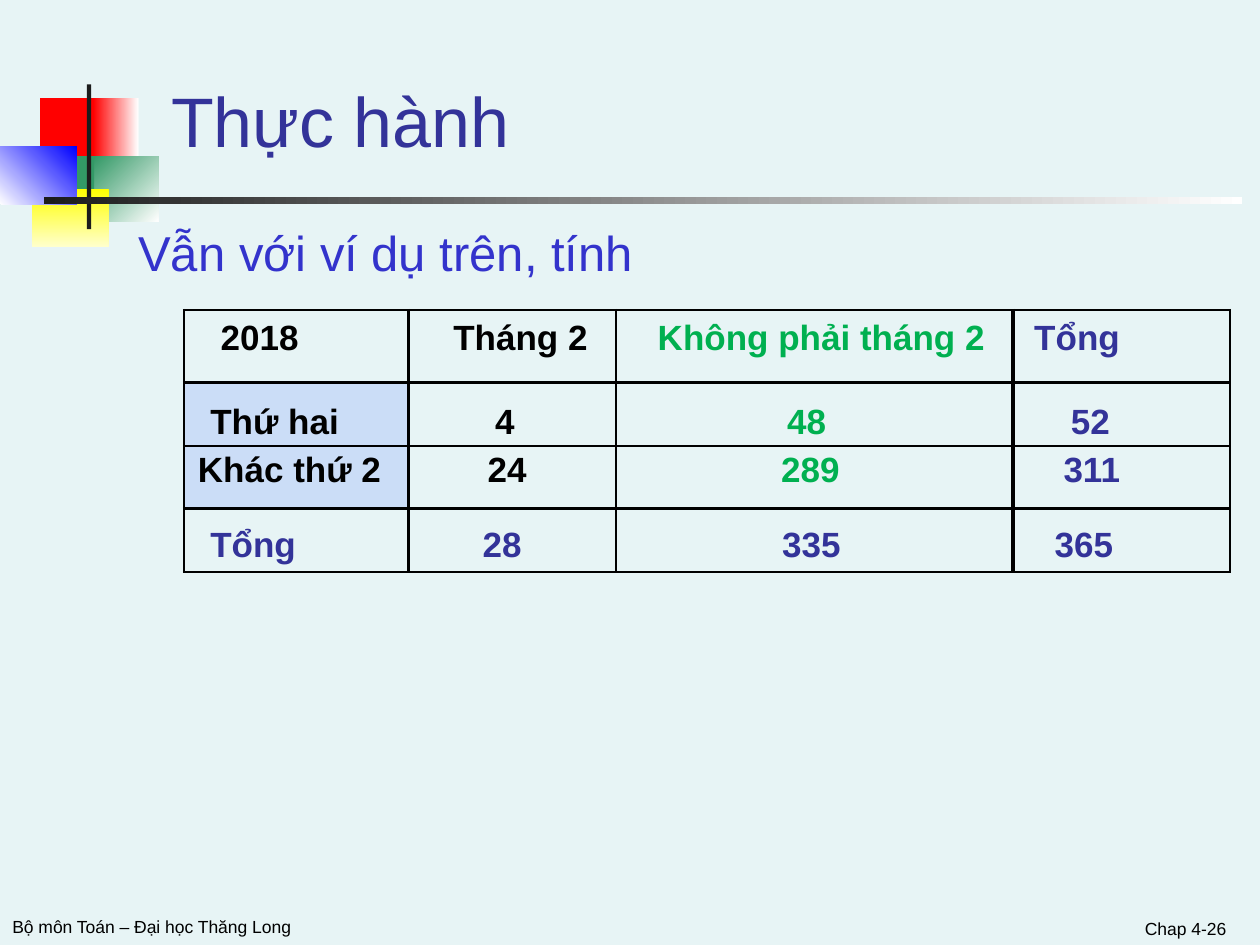
from lxml.etree import SubElement
from pptx import Presentation
from pptx.dml.color import RGBColor as RGB
from pptx.enum.shapes import MSO_SHAPE as SHAPE
from pptx.enum.text import MSO_ANCHOR as ANCHOR, PP_ALIGN as ALIGN
from pptx.oxml.ns import qn
from pptx.util import Cm, Pt

BACKGROUND = RGB(0xE7, 0xF4, 0xF5)
BLACK = RGB(0, 0, 0)
CHARCOAL = RGB(0x1C, 0x1C, 0x1C)
WHITE = RGB(0xFF, 0xFF, 0xFF)
RED = RGB(0xFF, 0, 0)
GREEN = RGB(0x33, 0x99, 0x66)
YELLOW = RGB(0xFF, 0xFF, 0)
CREAM = RGB(0xFF, 0xFF, 0xCC)
BLUE = RGB(0, 0, 0xFF)
INDIGO = RGB(0x33, 0x33, 0x99)
BODY_BLUE = RGB(0x33, 0x33, 0xCC)
DATA_GREEN = RGB(0, 0xB0, 0x50)
LABEL_FILL = RGB(0xCB, 0xDD, 0xF7)


def add_text(area, words, size, color, anchor=ANCHOR.TOP, align=ALIGN.LEFT, spacing=None):
    box = page.shapes.add_textbox(*[Cm(length) for length in area])
    box.text_frame.word_wrap = True
    box.text_frame.vertical_anchor = anchor
    para = box.text_frame.paragraphs[0]
    para.text = words
    para.alignment = align
    para.line_spacing = spacing
    para.font.name = "Arial"
    para.font.size = Pt(size)
    para.font.color.rgb = color


def add_border(cell, side, width):
    line = SubElement(cell._tc.get_or_add_tcPr(), qn(f"a:{side}"), w=str(Pt(width)))
    fill = SubElement(line, qn("a:solidFill"))
    SubElement(fill, qn("a:srgbClr"), val=str(BLACK))


deck = Presentation()
deck.slide_width, deck.slide_height = Cm(25.4), Cm(19.05)
page = deck.slides.add_slide(deck.slide_layouts[6])
page.background.fill.solid()
page.background.fill.fore_color.rgb = BACKGROUND

# Ornament: left, top, width, height, colours, counter-clockwise gradient angle
ornament = [
    (0.81, 1.98, 1.22, 1.32, [RED], 0),
    (1.88, 1.98, 0.91, 1.32, [RED, WHITE], 0),
    (1.9, 3.15, 1.3, 1.32, [GREEN, WHITE], 315),
    (1.09, 3.15, 0.81, 1.32, [GREEN], 0),
    (0.64, 3.81, 1.55, 1.17, [YELLOW, CREAM], 270),
    (0, 2.95, 1.55, 1.17, [WHITE, BLUE], 45),
    (1.75, 1.7, 0.09, 2.92, [CHARCOAL], 0),
    (0.89, 3.97, 24.15, 0.15, [CHARCOAL, WHITE], 0),
]
for *area, colors, angle in ornament:
    block = page.shapes.add_shape(SHAPE.RECTANGLE, *[Cm(length) for length in area])
    block.shadow.inherit = False
    block.line.fill.background()
    if len(colors) == 1:
        block.fill.solid()
        block.fill.fore_color.rgb = colors[0]
    else:
        block.fill.gradient()
        block.fill.gradient_angle = angle
        for stop, color in zip(block.fill.gradient_stops, colors):
            stop.color.rgb = color

# Title, body and footer
add_text((3.2, 0.64, 20.5, 2.74), "Thực hành", 40, INDIGO, ANCHOR.BOTTOM, spacing=1.1)
add_text((2.54, 4.24, 22.43, 1.5), "Vẫn với ví dụ trên, tính", 28, BODY_BLUE, spacing=1.1)
add_text((19.05, 18.16, 5.92, 0.89), "Chap 4-26", 10, BLACK, ANCHOR.BOTTOM, ALIGN.RIGHT)
add_text((0, 18.34, 13.34, 0.71), "Bộ môn Toán – Đại học Thăng Long", 10, BLACK)

# Contingency table: top margin of the row, words, left margins of its cells
rows = [
    (0.18, ["2018", "Tháng 2", "Không phải tháng 2", "Tổng"], [0.74, 0.91, 0.84, 0.43]),
    (0.41, ["Thứ hai", "4", "48", "52"], [0.53, 1.75, 3.45, 1.17]),
    (0.1, ["Khác thứ 2", "24", "289", "311"], [0.28, 1.6, 3.33, 1.02]),
    (0.33, ["Tổng", "28", "335", "365"], [0.53, 1.5, 3.35, 0.84]),
]
column_widths = [4.52, 4.19, 8, 4.37]
row_heights = [1.47, 1.27, 1.27, 1.27]
column_colors = [BLACK, BLACK, DATA_GREEN, INDIGO]
vertical_lines = [1.5, 2.25, 1.5, 2.25, 1.5]
horizontal_lines = [1.5, 2, 0.75, 2, 1.5]

table = page.shapes.add_table(
    4, 4, Cm(3.71), Cm(6.25), Cm(sum(column_widths)), Cm(sum(row_heights))
).table
table.first_row = table.horz_banding = False
for column, width in zip(table.columns, column_widths):
    column.width = Cm(width)
for row, height in zip(table.rows, row_heights):
    row.height = Cm(height)

for r, (top_margin, words, left_margins) in enumerate(rows):
    for c, word in enumerate(words):
        cell = table.cell(r, c)
        cell.margin_left, cell.margin_top = Cm(left_margins[c]), Cm(top_margin)
        cell.margin_right = cell.margin_bottom = 0
        add_border(cell, "lnL", vertical_lines[c])
        add_border(cell, "lnR", vertical_lines[c + 1])
        add_border(cell, "lnT", horizontal_lines[r])
        add_border(cell, "lnB", horizontal_lines[r + 1])
        if c == 0 and r in (1, 2):
            cell.fill.solid()
            cell.fill.fore_color.rgb = LABEL_FILL
        else:
            cell.fill.background()
        para = cell.text_frame.paragraphs[0]
        para.text = word
        para.font.name = "Arial"
        para.font.size = Pt(20)
        para.font.bold = True
        para.font.color.rgb = INDIGO if r == 3 else column_colors[c]

deck.save("out.pptx")
